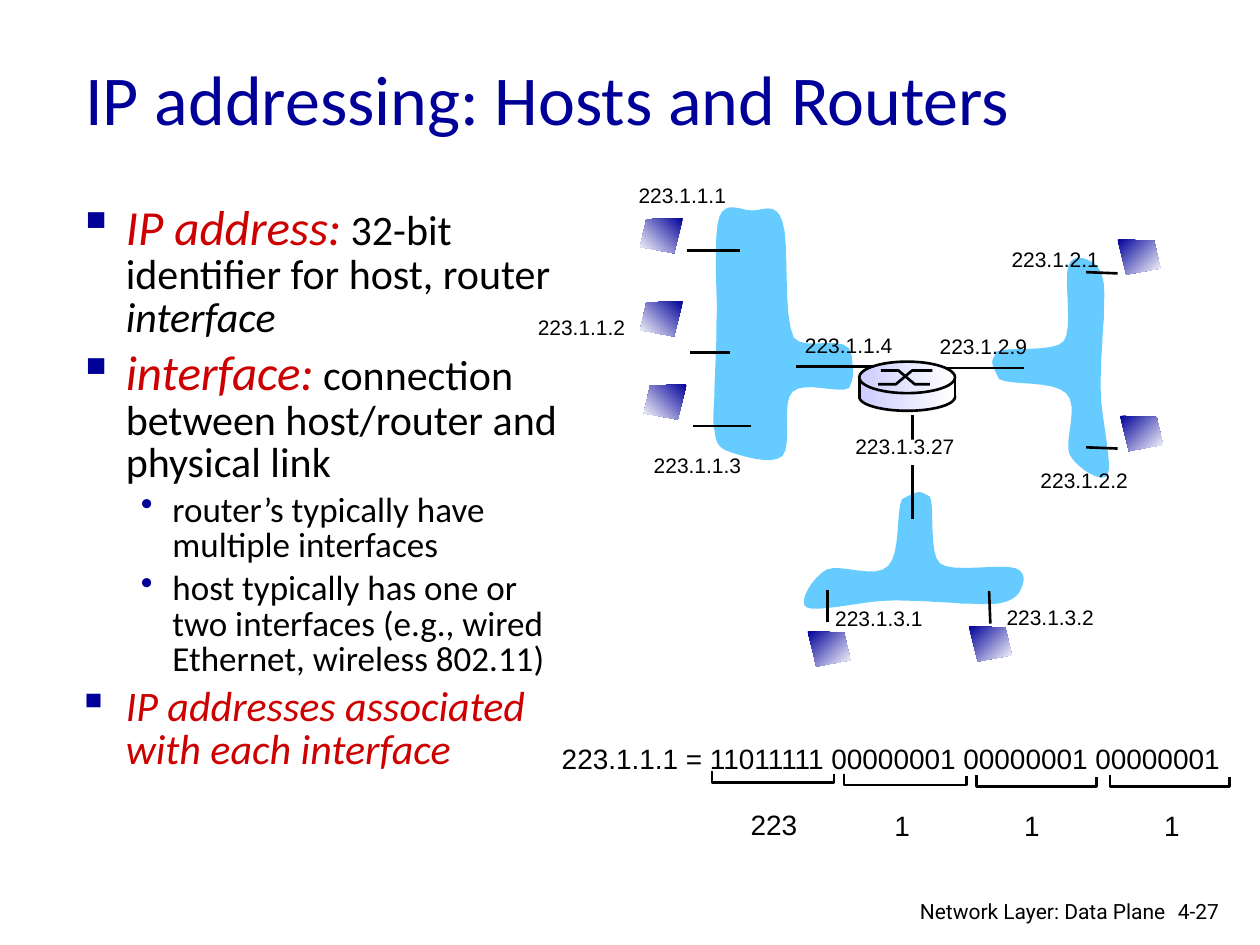
"""Build the slide on IP addressing of hosts and routers."""
from typing import NamedTuple

from lxml import etree
from pptx import Presentation
from pptx.dml.color import RGBColor
from pptx.enum.shapes import MSO_CONNECTOR, MSO_SHAPE
from pptx.enum.text import MSO_ANCHOR, MSO_AUTO_SIZE, PP_ALIGN
from pptx.oxml.ns import qn
from pptx.util import Inches, Pt

STRAIGHT = MSO_CONNECTOR.STRAIGHT
RECT, OVAL = MSO_SHAPE.RECTANGLE, MSO_SHAPE.OVAL
MIDDLE, TOP = MSO_ANCHOR.MIDDLE, MSO_ANCHOR.TOP
LEFT, RIGHT = PP_ALIGN.LEFT, PP_ALIGN.RIGHT
FIT = MSO_AUTO_SIZE.SHAPE_TO_FIT_TEXT

NAVY = RGBColor(0x00, 0x00, 0x99)
RED = RGBColor(0xCC, 0x00, 0x00)
BLACK = RGBColor(0x00, 0x00, 0x00)
WHITE = RGBColor(0xFF, 0xFF, 0xFF)
SKY = RGBColor(0x66, 0xCC, 0xFF)
LAVENDER = RGBColor(0xCC, 0xCC, 0xFF)

Point = tuple[float, float]


class Label(NamedTuple):
    text: str
    x: float
    y: float
    w: float = 0.9
    h: float = 0.3
    size: int = 12


class Host(NamedTuple):
    x: float
    y: float
    mirrored: bool = False


class Bullet(NamedTuple):
    level: int
    space: float
    runs: list[tuple[str, dict]]


TERM = dict(size=28, color=RED, italic=True)
BULLETS = [
    Bullet(0, 0, [("IP address:", TERM),
                  (" 32-bit identifier for host, router ", dict(size=24)),
                  ("interface", dict(size=24, italic=True))]),
    Bullet(0, 5.6, [("interface:", TERM),
                    (" connection between host/router and physical link", dict(size=24))]),
    Bullet(1, 4, [("router’s typically have multiple interfaces", dict(size=20))]),
    Bullet(1, 4, [("host typically has one or two interfaces (e.g., wired Ethernet, "
                   "wireless 802.11)", dict(size=20))]),
    Bullet(0, 4.8, [("IP addresses associated with each interface",
                     dict(size=24, color=RED, italic=True))]),
]

WIDE_SUBNET = [
    (6.76, 2.82), (6.74, 2.63), (6.39, 2.8), (6.3, 2.68), (6.21, 2.5), (6.27, 1.92),
    (6.21, 1.76), (6.16, 1.59), (6.04, 1.68), (5.96, 1.67), (5.88, 1.67), (5.76, 1.59),
    (5.71, 1.72), (5.66, 1.86), (5.69, 2.3), (5.69, 2.48), (5.68, 2.66), (5.69, 2.71),
    (5.68, 2.81), (5.68, 2.92), (5.67, 3.03), (5.67, 3.12), (5.67, 3.22), (5.65, 3.33),
    (5.67, 3.41), (5.68, 3.48), (5.68, 3.54), (5.77, 3.58), (5.86, 3.61), (6.12, 3.7),
    (6.21, 3.62), (6.29, 3.54), (6.2, 3.19), (6.29, 3.11), (6.38, 3.02), (6.66, 3.13),
    (6.74, 3.08), (6.77, 3), (6.78, 3.01), (6.76, 2.82)]
RIGHT_SUBNET = [
    (7.93, 3.01), (8.02, 3.06), (8.36, 3.02), (8.46, 3.12), (8.57, 3.22), (8.44, 3.5),
    (8.49, 3.61), (8.55, 3.72), (8.75, 3.84), (8.79, 3.77), (8.83, 3.7), (8.75, 3.34),
    (8.74, 3.18), (8.73, 3.03), (8.74, 2.95), (8.74, 2.85), (8.75, 2.74), (8.75, 2.63),
    (8.76, 2.54), (8.76, 2.44), (8.77, 2.33), (8.76, 2.25), (8.75, 2.18), (8.72, 2.11),
    (8.67, 2.08), (8.63, 2.06), (8.52, 2), (8.48, 2.11), (8.44, 2.21), (8.52, 2.63),
    (8.44, 2.71), (8.37, 2.8), (7.98, 2.75), (7.91, 2.79), (7.87, 2.88), (7.85, 2.85),
    (7.93, 3.01)]
BOTTOM_SUBNET = [(10.17 - y, x - 3.97) for x, y in RIGHT_SUBNET]

LABELS = [
    Label("223.1.1.1", 4.97, 1.4), Label("223.1.1.2", 4.17, 2.45),
    Label("223.1.1.3", 5.09, 3.54), Label("223.1.1.4", 6.29, 2.59),
    Label("223.1.2.9", 7.36, 2.6), Label("223.1.2.2", 8.16, 3.66),
    Label("223.1.2.1", 7.93, 1.91), Label("223.1.3.2", 7.89, 4.75),
    Label("223.1.3.1", 6.53, 4.76), Label("223.1.3.27", 6.69, 3.39, 1),
    Label("223.1.1.1 = 11011111 00000001 00000001 00000001", 4.36, 5.84, 5.52, 0.37, 16),
    Label("223", 5.86, 6.36, 0.57, 0.37, 16),
    *(Label("1", x, 6.37, 0.32, 0.37, 16) for x in (7, 8.03, 9.14))]
LINKS = [(7.5, 2.92, 8.13, 2.92), (8.62, 2.16, 8.87, 2.17), (8.62, 3.55, 8.87, 3.56),
         (7.24, 3.29, 7.24, 4.12), (6.57, 4.94, 6.57, 4.68), (7.86, 4.95, 7.85, 4.69)]
LEFT_LINKS = [(5.45, 1.99, 5.87, 1.99), (5.48, 2.8, 5.79, 2.8),
              (5.5, 3.38, 5.96, 3.38), (6.32, 2.91, 6.94, 2.91)]
BRACKETS = [(5.65, 6.12, 0.97), (6.7, 6.14, 0.97), (7.75, 6.15, 0.95), (8.81, 6.15, 0.95)]
HOSTS = [Host(5.08, 1.73, True), Host(5.08, 2.39, True), Host(5.11, 3.05, True),
         Host(8.87, 1.9), Host(8.89, 3.3), Host(7.69, 4.97), Host(6.41, 5.01)]


def write(p, text: str, *, size: int, font: str = "Calibri", color=BLACK, italic=False):
    r = p.add_run()
    r.text = text
    r.font.size, r.font.name, r.font.italic = Pt(size), font, italic
    r.font.color.rgb = color


def add_box(s, x: float, y: float, w: float, h: float, wrap=True, anchor=TOP):
    tf = s.shapes.add_textbox(Inches(x), Inches(y), Inches(w), Inches(h)).text_frame
    tf.word_wrap, tf.vertical_anchor = wrap, anchor
    return tf


def add_label(s, label: Label):
    tf = add_box(s, label.x, label.y, label.w, label.h, wrap=False)
    tf.auto_size = FIT
    write(tf.paragraphs[0], label.text, size=label.size, font="Arial")


def add_bullet(p, bullet: Bullet):
    indent, hanging, mark = [(0.38, 0.38, "▪"), (0.75, 0.25, "•")][bullet.level]
    p.level, p.line_spacing, p.space_before = bullet.level, 0.85, Pt(bullet.space)
    pPr = p._p.get_or_add_pPr()
    pPr.set("marL", str(Inches(indent)))
    pPr.set("indent", str(-Inches(hanging)))
    color = etree.SubElement(pPr, qn("a:buClr"))
    etree.SubElement(color, qn("a:srgbClr")).set("val", str(NAVY))
    etree.SubElement(pPr, qn("a:buChar")).set("char", mark)
    for text, style in bullet.runs:
        write(p, text, **style)


def add_line(s, x1: float, y1: float, x2: float, y2: float):
    c = s.shapes.add_connector(STRAIGHT, Inches(x1), Inches(y1), Inches(x2), Inches(y2))
    c.line.color.rgb, c.line.width = BLACK, Pt(1.5)
    etree.SubElement(c._element.spPr, qn("a:effectLst"))


def paint(sp, fill=None, end=None, angle: float = 0, outlined=False):
    sp.shadow.inherit = False
    if end is not None:
        sp.fill.gradient()
        sp.fill.gradient_angle = angle
        for stop, color, position in zip(sp.fill.gradient_stops, (fill, end), (0, 1)):
            stop.color.rgb, stop.position = color, position
    elif fill is not None:
        sp.fill.solid()
        sp.fill.fore_color.rgb = fill
    else:
        sp.fill.background()
    if outlined:
        sp.line.color.rgb, sp.line.width = BLACK, Pt(1.5)
    else:
        sp.line.fill.background()


def add_outline(s, points: list[Point], closed=True, **style):
    (x, y), *rest = [(Inches(px), Inches(py)) for px, py in points]
    builder = s.shapes.build_freeform(x, y)
    builder.add_line_segments(rest, close=closed)
    paint(builder.convert_to_shape(), **style)


def add_shape(s, kind, x: float, y: float, w: float, h: float, **style):
    paint(s.shapes.add_shape(kind, Inches(x), Inches(y), Inches(w), Inches(h)), **style)


def curve(knots: list[Point], steps: int = 8) -> list[Point]:
    points = [knots[0]]
    for i in range(0, len(knots) - 1, 3):
        for t in (k / steps for k in range(1, steps + 1)):
            weights = ((1 - t) ** 3, 3 * t * (1 - t) ** 2, 3 * t * t * (1 - t), t ** 3)
            points.append(tuple(sum(w * k[axis] for w, k in zip(weights, knots[i:i + 4]))
                                for axis in (0, 1)))
    return points


def add_host(s, host: Host):
    corners = [(0, 0), (0.29, 0.01), (0.34, 0.23), (0.07, 0.28)]
    points = [(host.x + (0.34 - x if host.mirrored else x), host.y + y) for x, y in corners]
    add_outline(s, points, fill=NAVY, end=WHITE, angle=225 if host.mirrored else 315)


def add_router(s):
    metal = dict(fill=LAVENDER, end=WHITE)
    add_shape(s, OVAL, 6.82, 3.04, 0.76, 0.22, outlined=True, **metal)
    add_shape(s, RECT, 6.82, 3.02, 0.76, 0.13, **metal)
    add_shape(s, OVAL, 6.82, 2.87, 0.76, 0.25, outlined=True, **metal)
    for xs, y1, y2 in (((6.97, 7.11, 7.24, 7.4), 3.05, 2.94),
                       ((6.99, 7.13, 7.26, 7.38), 2.94, 3.05)):
        add_outline(s, list(zip(xs, (y1, y1, y2, y2))), closed=False, outlined=True)
    for x in (6.82, 7.58):
        add_line(s, x, 3, x, 3.16)


def main():
    prs = Presentation()
    prs.slide_width, prs.slide_height = Inches(10), Inches(7.5)
    s = prs.slides.add_slide(prs.slide_layouts[6])
    for knots in (BOTTOM_SUBNET, RIGHT_SUBNET, WIDE_SUBNET):
        add_outline(s, curve(knots), fill=SKY)
    tf = add_box(s, 0.58, 0.25, 8.5, 1.04, anchor=MIDDLE)
    write(tf.paragraphs[0], "IP addressing: Hosts and Routers", size=40, color=NAVY)
    tf = add_box(s, 0.52, 1.58, 4.04, 5.08)
    for i, bullet in enumerate(BULLETS):
        add_bullet(tf.add_paragraph() if i else tf.paragraphs[0], bullet)
    for link in LINKS:
        add_line(s, *link)
    add_shape(s, RECT, 6.78, 3.49, 0.93, 0.2, fill=WHITE)
    for label in LABELS:
        add_label(s, label)
    for x, y, w in BRACKETS:
        points = [(x, y), (x, y + 0.09), (x + w, y + 0.09), (x + w, y + 0.02)]
        add_outline(s, points, closed=False, outlined=True)
    for host in HOSTS:
        add_host(s, host)
    add_router(s)
    for link in LEFT_LINKS:
        add_line(s, *link)
    for text, x, w, align in (("4-27", 9.25, 0.61, LEFT),
                              ("Network Layer: Data Plane", 6.97, 2.38, RIGHT)):
        p = add_box(s, x, 7.08, w, 0.3).paragraphs[0]
        p.alignment = align
        write(p, text, size=12, font="Roboto")
    prs.save("out.pptx")


if __name__ == "__main__":
    main()
